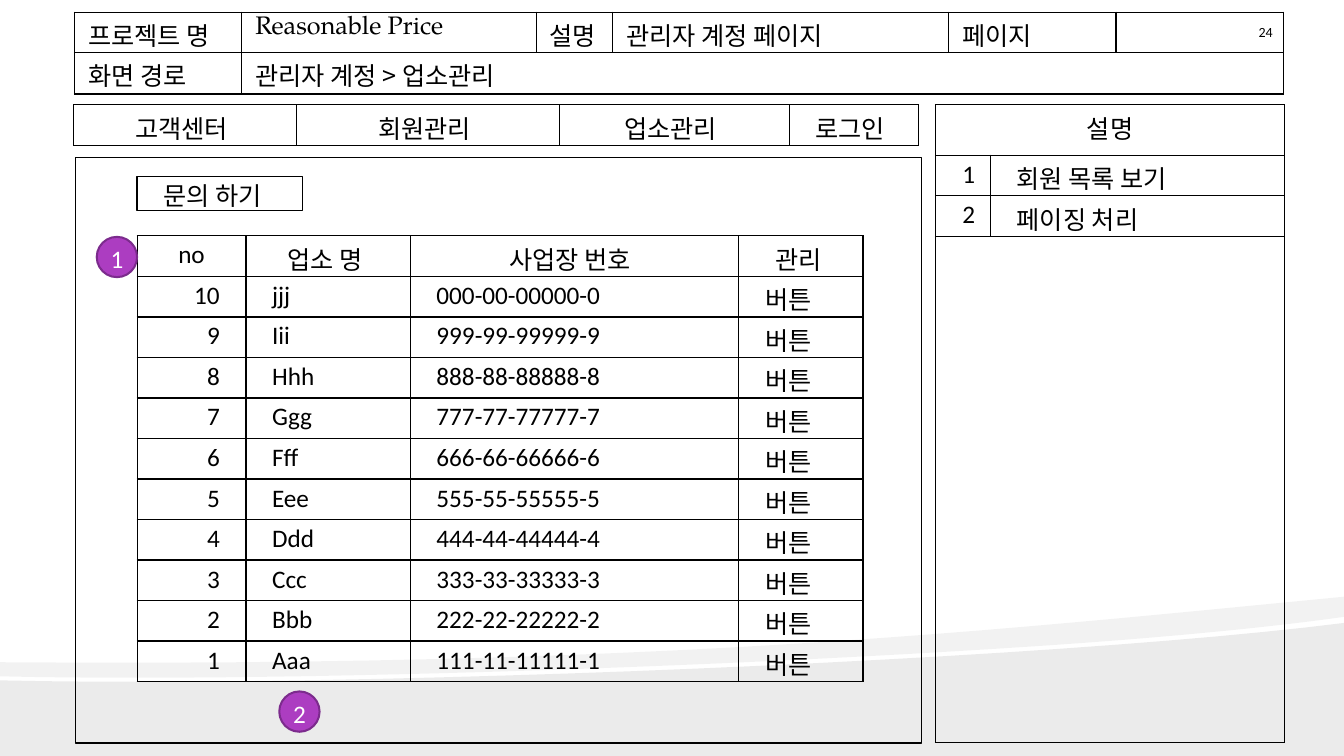
"""Build the store management wireframe page on a grid of 100 columns and 75 rows."""
import pptx
import pptx.util
import pptx.dml.color
import pptx.enum.shapes
import pptx.enum.text
import pptx.oxml
import pptx.oxml.ns

BLACK = pptx.dml.color.RGBColor(0x00, 0x00, 0x00)
WHITE = pptx.dml.color.RGBColor(0xFF, 0xFF, 0xFF)
PURPLE = pptx.dml.color.RGBColor(0xAC, 0x3D, 0xC1)
PLUM = pptx.dml.color.RGBColor(0x7C, 0x2B, 0x8D)
KOREAN, LATIN, SERIF = "Noto Sans CJK KR", "Calibri", "TeX Gyre Pagella"
LEFT, CENTER, RIGHT = (pptx.enum.text.PP_ALIGN.LEFT, pptx.enum.text.PP_ALIGN.CENTER,
                       pptx.enum.text.PP_ALIGN.RIGHT)
SHAPES = pptx.enum.shapes.MSO_SHAPE

deck = pptx.Presentation()
deck.slide_width = pptx.util.Inches(13.33)
deck.slide_height = pptx.util.Inches(7.5)
COLUMN = deck.slide_width / 100
ROW = deck.slide_height / 75
page = deck.slides.add_slide(deck.slide_layouts[6])


def write(holder, frame, text, align=LEFT, indent=0, top=0.4, color=BLACK, **font_values):
    """Fill a cell or a shape's frame with one line of text."""
    margins = {"margin_left": 0 if align == RIGHT else indent * COLUMN,
               "margin_right": indent * COLUMN if align == RIGHT else 0,
               "margin_top": top * ROW, "margin_bottom": 0}
    for name, value in margins.items():
        setattr(holder, name, int(value))
    if not text:
        return
    para = frame.paragraphs[0]
    para.alignment = align
    para.space_before = pptx.util.Pt(2.6)
    span = para.add_run()
    span.text = text
    values = {"name": LATIN if text.isascii() else KOREAN, "size": pptx.util.Pt(18)}
    for name, value in (values | font_values).items():
        setattr(span.font, name, value)
    span.font.color.rgb = color
    east_asian = pptx.oxml.parse_xml(
        f'<a:ea {pptx.oxml.ns.nsdecls("a")} typeface="{span.font.name}"/>')
    span.font._element.find(pptx.oxml.ns.qn("a:latin")).addnext(east_asian)


def draw_table(left, top, widths, heights, entries, merges=()):
    """Draw a ruled table; each entry is text, alignment, indent and format values."""
    table = page.shapes.add_table(
        len(heights), len(widths), int(left * COLUMN), int(top * ROW),
        int(sum(widths) * COLUMN), int(sum(heights) * ROW)).table
    table.first_row = table.horz_banding = False
    for column, width in zip(table.columns, widths):
        column.width = int(width * COLUMN)
    for row, height in zip(table.rows, heights):
        row.height = int(height * ROW)
    for cell in table.iter_cells():
        for side in "LRTB":
            cell._tc.get_or_add_tcPr().append(pptx.oxml.parse_xml(
                f'<a:ln{side} {pptx.oxml.ns.nsdecls("a")} w="12700"><a:solidFill>'
                f'<a:srgbClr val="{BLACK}"/></a:solidFill></a:ln{side}>'))
        cell.fill.background()
    for row, first, last in merges:
        table.cell(row, first).merge(table.cell(row, last))
    for row, line in enumerate(entries):
        for column, (text, align, indent, values) in enumerate(line):
            cell = table.cell(row, column)
            write(cell, cell.text_frame, text, align, indent, **values)


upper_wave = [(100, 59.2), (100, 61.2), (94.15, 62.3), (86.2, 63.3), (77.2, 64.1),
              (52.35, 66.3), (19.35, 67.7), (0, 67.1), (0, 65.7),
              (48.9, 66.2), (72.85, 62.7), (100, 59.2)]
lower_wave = [(0, 67.5), (26.4, 68.3), (78.15, 65.5), (100, 61.8)]
for curve_groups, closing, opacity in (
        ([lower_wave], [(100, 75), (0, 75)], 8),
        ([upper_wave[1:5], upper_wave[4:8], upper_wave[8:]], [], 5)):
    points = []
    for start, pull, push, end in curve_groups:
        for step in range(25):
            t = step / 24
            points.append(tuple(
                (1 - t) ** 3 * a + 3 * t * (1 - t) ** 2 * b + 3 * t * t * (1 - t) * c + t ** 3 * d
                for a, b, c, d in zip(start, pull, push, end)))
    points += closing
    outline = page.shapes.build_freeform(
        int(points[0][0] * COLUMN), int(points[0][1] * ROW))
    outline.add_line_segments([(int(x * COLUMN), int(y * ROW)) for x, y in points[1:]])
    wave = outline.convert_to_shape()
    wave.shadow.inherit = False
    wave.fill.solid()
    wave.fill.fore_color.rgb = BLACK
    wave.line.fill.background()
    wave.fill._xPr.find(".//" + pptx.oxml.ns.qn("a:srgbClr")).append(pptx.oxml.parse_xml(
        f'<a:alpha {pptx.oxml.ns.nsdecls("a")} val="{opacity * 1000}"/>'))

menu = [("고객센터", 4.58), ("회원관리", 6.08), ("업소관리", 4.8), ("로그인", 1.95)]
draw_table(5.48, 10.4, [16.58, 19.58, 17.1, 9.6], [4],
           [[(text, LEFT, indent, {}) for text, indent in menu]])

notes = [[("설명", CENTER, 0, {})]]
for number, note in enumerate(["회원 목록 보기", "페이징 처리"], 1):
    notes.append([(str(number), RIGHT, 1.15, {}), (note, LEFT, 1.95, {})])
draw_table(69.6, 10.4, [4.1, 21.9], [5, 4, 4, 50.2], notes, [(0, 0, 1), (3, 0, 1)])

stores = [[("no", CENTER, 0, {}), ("업소 명", LEFT, 3.08, {}),
           ("사업장 번호", LEFT, 7.35, {}), ("관리", LEFT, 2.7, {})]]
names = ["Aaa", "Bbb", "Ccc", "Ddd", "Eee", "Fff", "Ggg", "Hhh", "Iii", "jjj"]
for number, name in reversed(list(enumerate(names, 1))):
    digit = str(number % 10)
    license_number = "-".join(digit * count for count in (3, 2, 5, 1))
    stores.append([(str(number), RIGHT, 1.95, {})] + [
        (text, LEFT, 1.95, {}) for text in (name, license_number, "버튼")])
draw_table(10.2, 23.4, [8.1, 12.23, 24.45, 9.23], [4] * 11, stores)

for kind, left, top, width, height, fill, edge, weight, text, style in (
        (SHAPES.RECTANGLE, 5.6, 15.6, 62.95, 58.1, None, BLACK, 1, "", {}),
        (SHAPES.RECTANGLE, 10.2, 17.5, 12.3, 3.4, None, BLACK, 1, "문의 하기",
         {"indent": 1.95}),
        (SHAPES.OVAL, 7.2, 23.5, 3, 4, PURPLE, PLUM, 1.44, "1",
         {"align": CENTER, "color": WHITE, "top": 0.3}),
        (SHAPES.OVAL, 20.78, 68.6, 3, 4, PURPLE, PLUM, 1.44, "2",
         {"align": CENTER, "color": WHITE, "top": 0.3})):
    box = page.shapes.add_shape(kind, int(left * COLUMN), int(top * ROW),
                                int(width * COLUMN), int(height * ROW))
    box.shadow.inherit = False
    if fill is None:
        box.fill.background()
    else:
        box.fill.solid()
        box.fill.fore_color.rgb = fill
    box.line.color.rgb = edge
    box.line.width = pptx.util.Pt(weight)
    box.text_frame.word_wrap = fill is None
    box.text_frame.vertical_anchor = (pptx.enum.text.MSO_ANCHOR.TOP if fill is None
                                      else pptx.enum.text.MSO_ANCHOR.MIDDLE)
    write(box.text_frame, box.text_frame, text, **style)

header = [
    [("프로젝트 명", LEFT, 1, {}), ("Reasonable Price", LEFT, 1, {"name": SERIF}),
     ("설명", LEFT, 1, {}), ("관리자 계정 페이지", LEFT, 1, {}), ("페이지", LEFT, 1, {}),
     ("24", RIGHT, 0.8, {"size": pptx.util.Pt(10), "top": 1.2})],
    [("화면 경로", LEFT, 1, {}), ("관리자 계정 > 업소관리", LEFT, 1, {})]]
draw_table(5.55, 1.2, [12.45, 21.9, 5.7, 25, 12.45, 12.45], [4, 4.1], header, [(1, 1, 5)])

deck.save("out.pptx")
